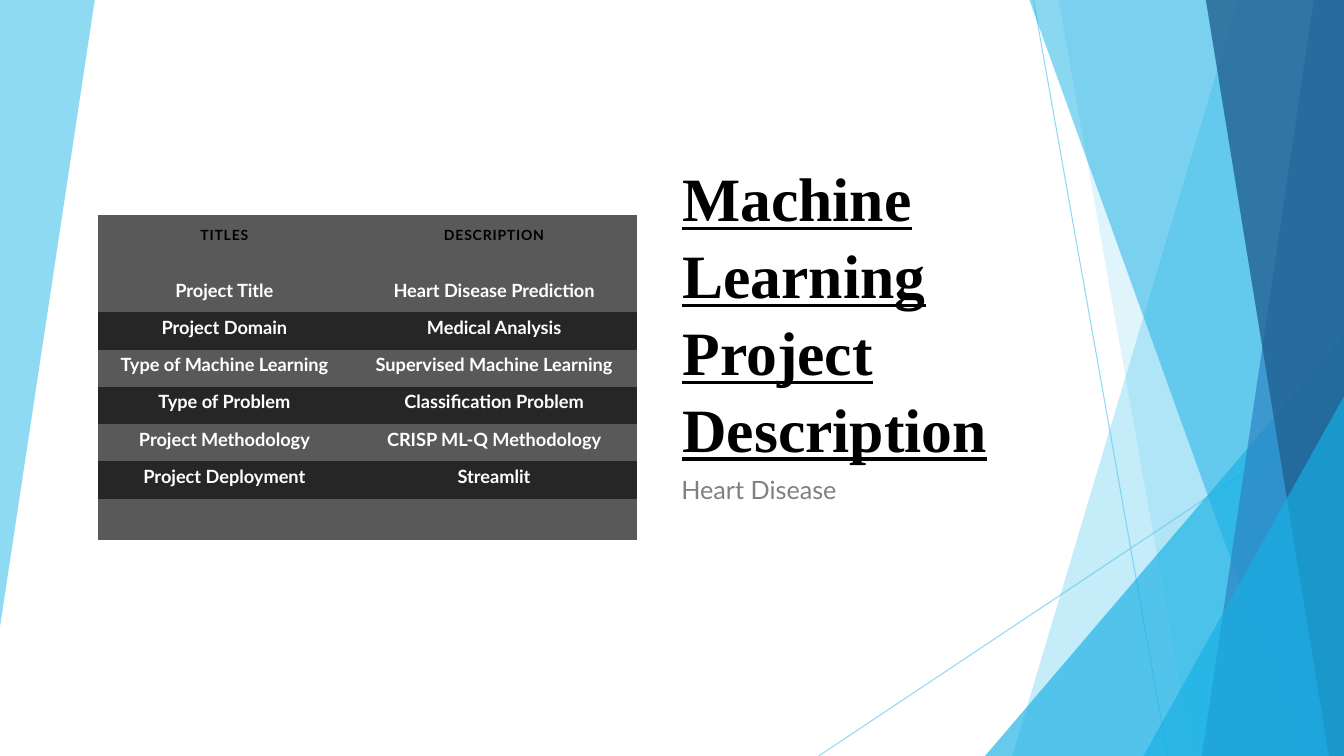
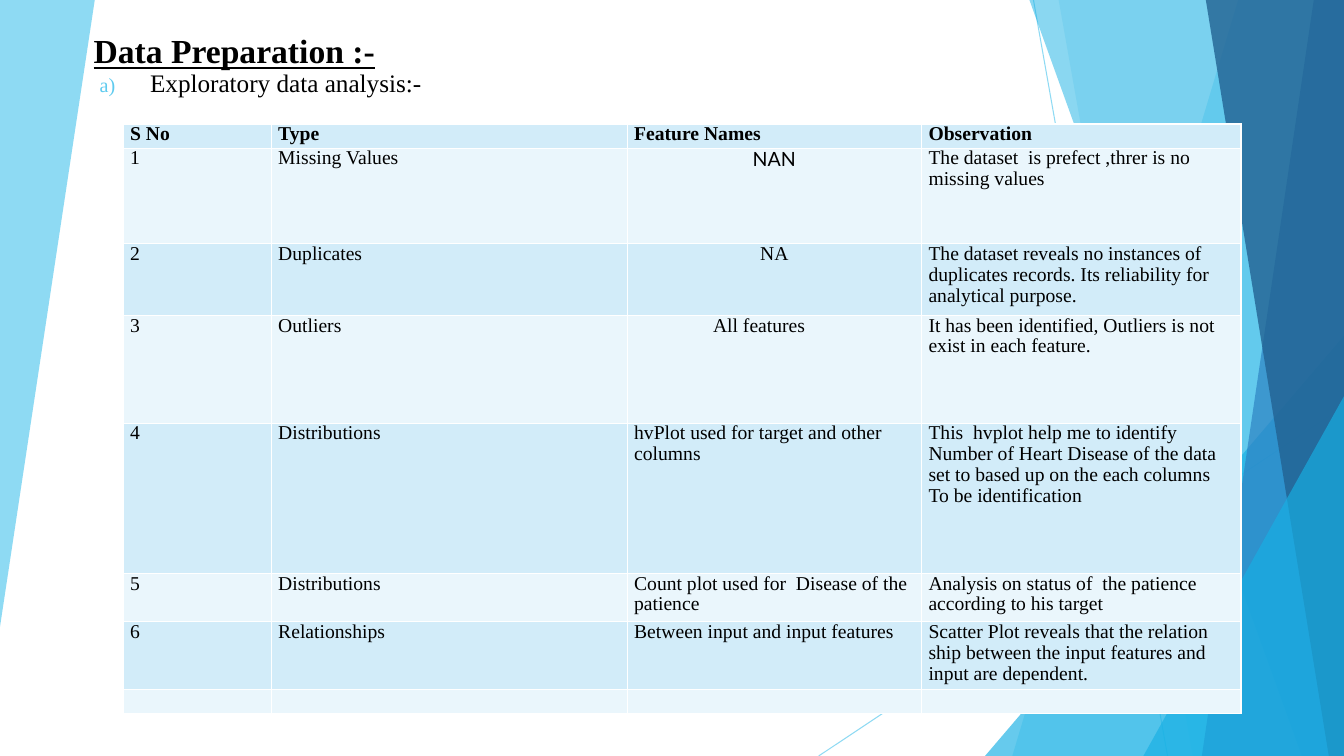
from lxml.etree import SubElement
from pptx import Presentation
from pptx.dml.color import RGBColor
from pptx.enum.shapes import MSO_CONNECTOR, MSO_SHAPE
from pptx.enum.text import MSO_ANCHOR, PP_ALIGN
from pptx.oxml.ns import qn
from pptx.util import Pt

PX = 9144  # 100 px to the inch
WIDE, HIGH = 1333, 750
SKY, AQUA, BLUE, NAVY = "5FCBEF", "17B0E4", "2E83C3", "226292"
BLACK, WHITE, GRAY = "000000", "FFFFFF", "808080"
COAL, INK = "595959", "262626"
PALE, MIST = "D2ECF9", "EAF6FC"
SERIF, SANS = "Times New Roman", "Lato"
PLAIN = "{2D5ABB26-0587-4C30-8999-92F81FD0307C}"  # table style without grid
hue = RGBColor.from_string


def fade(shape, alpha):
    for color in shape._element.spPr.iter(qn("a:srgbClr")):
        SubElement(color, qn("a:alpha"), val=str(alpha * 1000))


def write(frame, text, face, size, color, bold=False, under=False,
          align=PP_ALIGN.LEFT, lead=1.0, track=0, mark=None):
    frame.word_wrap = True
    frame.text = text
    for par in frame.paragraphs:
        par.alignment = align
        par.line_spacing = lead
        props = par._p.get_or_add_pPr()
        if mark:
            props.set("marL", str(56 * PX))
            props.set("indent", str(-50 * PX))
            tint = SubElement(props, qn("a:buClr"))
            SubElement(tint, qn("a:srgbClr"), val=SKY)
            SubElement(props, qn("a:buSzPct"), val="80000")
            SubElement(props, qn("a:buAutoNum"), type=mark)
        font = par.font
        font.name, font.size, font.bold = face, Pt(size), bold
        font.underline = under
        font.color.rgb = hue(color)
        if track:
            props.find(qn("a:defRPr")).set("spc", str(track))


# Backdrop: thin lines, then panels from back to front
lines = [(1025, 0, 1158, HIGH), (WIDE, 403, 812, HIGH)]
# A panel with two points is a right triangle in that box
panels = [
    (SKY, 70, [(0, 0), (94, 0), (0, 622)]),
    (SKY, 36, [(1228, 0), (WIDE, 0), (WIDE, HIGH), (1004, HIGH)]),
    (SKY, 20, [(1050, 0), (WIDE, 0), (WIDE, HIGH), (1183, HIGH)]),
    (AQUA, 66, [(977, 333), (WIDE, HIGH)]),
    (AQUA, 50, [(1021, 0), (WIDE, 0), (WIDE, HIGH), (1291, HIGH)]),
    (BLUE, 70, [(1303, 0), (WIDE, 0), (WIDE, HIGH), (1192, HIGH)]),
    (NAVY, 80, [(1196, 0), (WIDE, 0), (WIDE, HIGH), (1318, HIGH)]),
    (AQUA, 66, [(1134, 393), (WIDE, HIGH)]),
]

# Slide contents
about = [
    ("TITLES", "DESCRIPTION"),
    ("Project Title", "Heart Disease Prediction"),
    ("Project Domain", "Medical Analysis"),
    ("Type of Machine Learning", "Supervised Machine Learning"),
    ("Type of Problem", "Classification Problem"),
    ("Project Methodology", "CRISP ML-Q Methodology"),
    ("Project Deployment", "Streamlit"),
    ("", ""),
]
study = [
    ("S No", "Type", "Feature Names", "Observation"),
    ("1", "Missing Values", "NAN",
     "The dataset  is prefect ,threr is no missing values"),
    ("2", "Duplicates", "NA",
     "The dataset reveals no instances of duplicates records. "
     "Its reliability for analytical purpose."),
    ("3", "Outliers", "All features",
     "It has been identified, Outliers is not exist in each feature."),
    ("4", "Distributions", "hvPlot used for target and other columns",
     "This  hvplot help me to identify  Number of Heart Disease of the data "
     "set to based up on the each columns\nTo be identification"),
    ("5", "Distributions", "Count plot used for  Disease of the patience",
     "Analysis on status of  the patience according to his target"),
    ("6", "Relationships", "Between input and input features",
     "Scatter Plot reveals that the relation ship between the input "
     "features and input are dependent."),
    ("", "", "", ""),
]
mid = {"align": PP_ALIGN.CENTER}
pages = [
    {
        "title": ("Machine Learning Project Description", 44, 1.04),
        "spot": (667, 138, 382, 328),
        "sub": ("Heart Disease", SANS, 18, GRAY),
        "below": (666, 466, 383, 145), "mark": None,
        "data": about, "at": (97, 213), "cols": (251, 284),
        "rows": [60] + [37] * 6 + [41],
        "fills": [COAL] + [COAL, INK] * 3 + [COAL],
        "pads": [(12, 12, 12, 12)] + [(8, 4, 8, 8)] * 7,
        "head": dict(face=SANS, size=10, color=BLACK, bold=True, track=60, **mid),
        "body": dict(face=SANS, size=13, color=WHITE, bold=True, **mid),
        "edge": None, "odd": {},
    },
    {
        "title": ("Data Preparation :-", 24, 1.0),
        "spot": (83, 15, 1169, 60),
        "sub": ("Exploratory data analysis:-", SERIF, 18, BLACK),
        "below": (83, 62, 1169, 558), "mark": "alphaLcParenR",
        "data": study, "at": (122, 123), "cols": (147, 353, 292, 317),
        "rows": [24, 95, 71, 107, 149, 48, 64, 24],
        "fills": [PALE, MIST] * 4,
        "pads": [(7, 0, 7, 0)] * 3 + [(7, 0, 7, 0)] * 5,
        "head": dict(face=SERIF, size=14, color=BLACK, bold=True, lead=0.96),
        "body": dict(face=SERIF, size=14, color=BLACK, lead=0.96),
        "edge": WHITE,
        "odd": {"NAN": dict(face=SANS, **mid), "NA": mid, "All features": mid},
    },
]

deck = Presentation()
deck.slide_width, deck.slide_height = WIDE * PX, HIGH * PX

for page in pages:
    slide = deck.slides.add_slide(deck.slide_layouts[6])
    shapes = slide.shapes

    # Backdrop
    for ends in lines:
        line = shapes.add_connector(MSO_CONNECTOR.STRAIGHT, *[n * PX for n in ends])
        line.line.color.rgb = hue(SKY)
        line.line.width = Pt(0.75)
        SubElement(line._element.spPr, qn("a:effectLst"))
        fade(line, 70)
    for color, alpha, dots in panels:
        (left, top), end = dots[0], dots[-1]
        if len(dots) == 2:
            box = (left, top, end[0] - left, end[1] - top)
            panel = shapes.add_shape(MSO_SHAPE.ISOSCELES_TRIANGLE,
                                     *[n * PX for n in box])
            panel.adjustments[0] = 1
        else:
            path = shapes.build_freeform(left, top, scale=PX)
            path.add_line_segments(dots[1:], close=True)
            panel = path.convert_to_shape()
        panel.shadow.inherit = False
        panel.fill.solid()
        panel.fill.fore_color.rgb = hue(color)
        panel.line.fill.background()
        fade(panel, alpha)

    # Title and subtitle
    text, size, lead = page["title"]
    frame = shapes.add_textbox(*[n * PX for n in page["spot"]]).text_frame
    frame.vertical_anchor = MSO_ANCHOR.BOTTOM
    write(frame, text, SERIF, size, BLACK, bold=True, under=True, lead=lead)
    frame = shapes.add_textbox(*[n * PX for n in page["below"]]).text_frame
    write(frame, *page["sub"], mark=page["mark"])

    # Table
    cols, rows = page["cols"], page["rows"]
    box = (*page["at"], sum(cols), sum(rows))
    table = shapes.add_table(len(rows), len(cols), *[n * PX for n in box]).table
    table.first_row = table.horz_banding = False
    table._tbl.tblPr.find(qn("a:tableStyleId")).text = PLAIN
    for col, width in zip(table.columns, cols):
        col.width = width * PX
    for r, (row, height) in enumerate(zip(table.rows, rows)):
        row.height = height * PX
        for cell, text in zip(row.cells, page["data"][r]):
            pad = [n * PX for n in page["pads"][r]]
            cell.margin_left, cell.margin_top = pad[:2]
            cell.margin_right, cell.margin_bottom = pad[2:]
            if text == "All features":
                cell.margin_right = 37 * PX
            if page["edge"]:
                for side in ("L", "R", "T", "B"):
                    rule = SubElement(cell._tc.get_or_add_tcPr(),
                                      qn("a:ln" + side), w=str(Pt(1)))
                    paint = SubElement(rule, qn("a:solidFill"))
                    SubElement(paint, qn("a:srgbClr"), val=page["edge"])
            cell.fill.solid()
            cell.fill.fore_color.rgb = hue(page["fills"][r])
            style = page["body"] if r else page["head"]
            write(cell.text_frame, text, **{**style, **page["odd"].get(text, {})})

deck.save("out.pptx")
